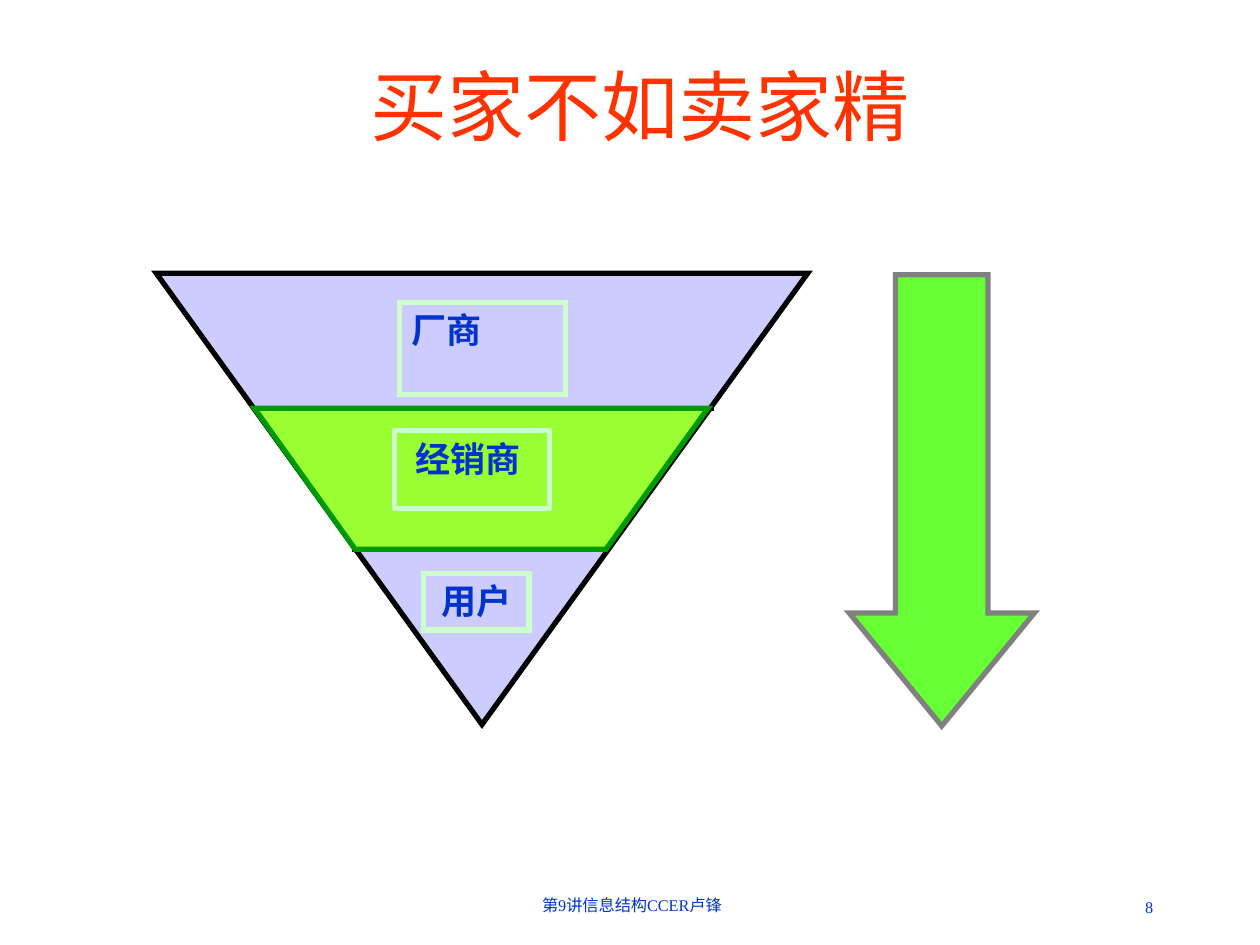
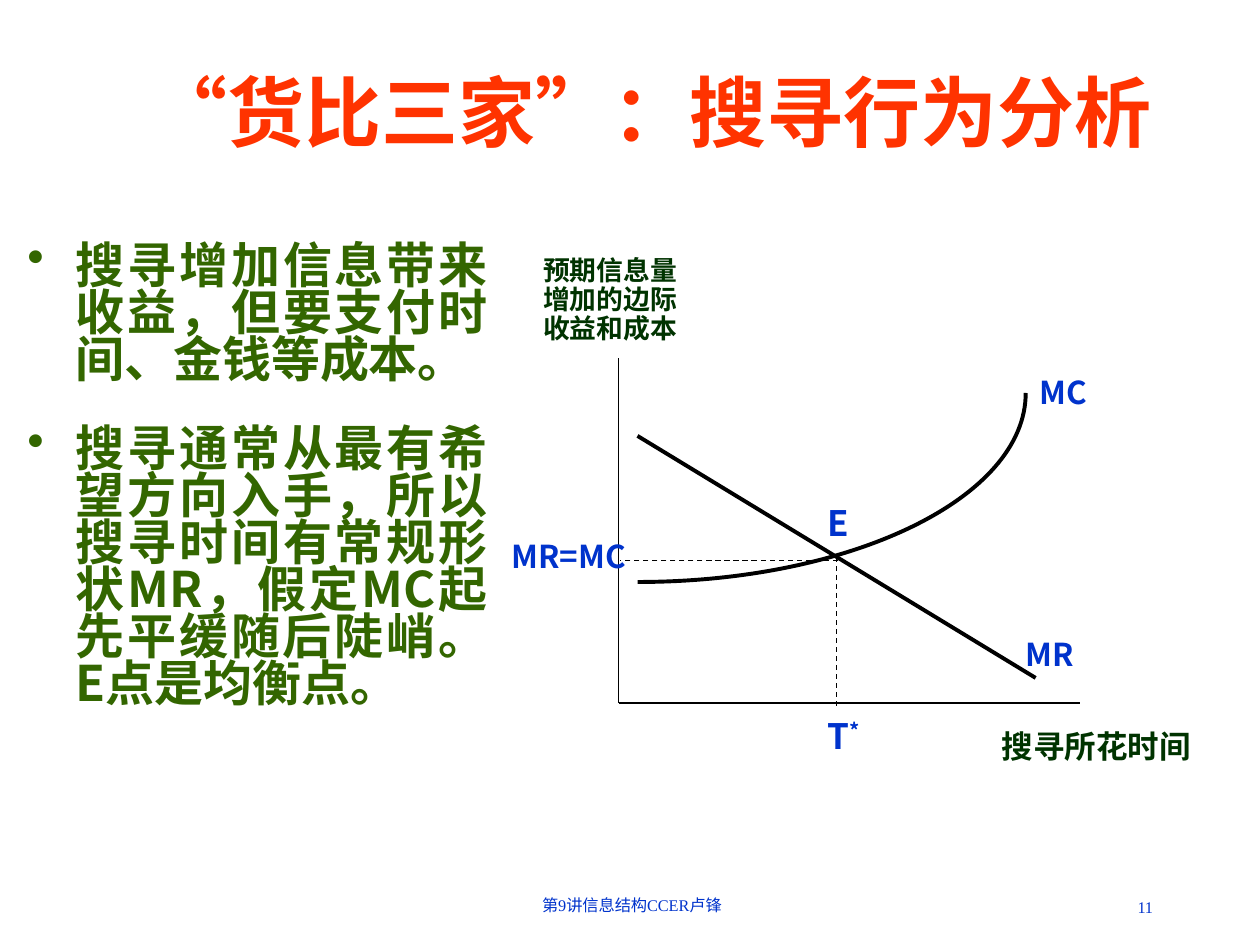
from dataclasses import dataclass
from typing import NamedTuple

from lxml import etree
from pptx import Presentation
from pptx.dml.color import RGBColor
from pptx.enum.dml import MSO_LINE
from pptx.enum.shapes import MSO_CONNECTOR, MSO_SHAPE
from pptx.enum.text import MSO_ANCHOR, MSO_AUTO_SIZE, PP_ALIGN
from pptx.oxml.ns import qn
from pptx.util import Pt

LEFT, CENTER, RIGHT, JUSTIFY = PP_ALIGN.LEFT, PP_ALIGN.CENTER, PP_ALIGN.RIGHT, PP_ALIGN.JUSTIFY
TOP, MIDDLE = MSO_ANCHOR.TOP, MSO_ANCHOR.MIDDLE
RECT, TRIANGLE, DOWN_ARROW = MSO_SHAPE.RECTANGLE, MSO_SHAPE.ISOSCELES_TRIANGLE, MSO_SHAPE.DOWN_ARROW
STRAIGHT, DASH = MSO_CONNECTOR.STRAIGHT, MSO_LINE.DASH
TITLE_ONLY = 5


@dataclass(frozen=True)
class Theme:
    sans: str = "Noto Sans CJK SC"
    serif: str = "Times New Roman"
    title: str = "FF3300"
    blue: str = "0033CC"
    body: str = "336600"
    axis: str = "003300"
    black: str = "000000"
    lavender: str = "CCCCFF"
    mint: str = "CCFFCC"
    lime: str = "99FF33"
    green: str = "009900"
    arrow: str = "66FF33"
    grey: str = "808080"
    title_size: float = 44
    body_size: float = 28
    label_size: float = 20
    curve_size: float = 18
    axis_size: float = 15.3
    footer_size: float = 9.3
    thin: float = 0.75
    medium: float = 2.25
    thick: float = 3


THEME = Theme()


class Box(NamedTuple):
    x: float
    y: float
    w: float
    h: float


class Run(NamedTuple):
    text: str
    font: str = THEME.sans
    baseline: int = 0


class Style(NamedTuple):
    size: float
    color: str
    bold: bool = True
    align: PP_ALIGN = JUSTIFY
    spacing: float = 1.0


class Label(NamedTuple):
    box: Box
    paragraphs: list[list[Run]]
    style: Style
    indent: float = 0


class Tier(NamedTuple):
    box: Box
    text: str
    align: PP_ALIGN = JUSTIFY
    fill: str | None = None
    indent: float = 0


class Segment(NamedTuple):
    x1: float
    y1: float
    x2: float
    y2: float
    width: float
    dashed: bool = False


FOOTER_STYLE = Style(THEME.footer_size, THEME.blue, False, CENTER)
NUMBER_STYLE = FOOTER_STYLE._replace(align=RIGHT)
TITLE_STYLE = Style(THEME.title_size, THEME.title, False, CENTER)
TIER_STYLE = Style(THEME.label_size, THEME.blue)
CURVE_STYLE = Style(THEME.curve_size, THEME.blue)
TIME_STYLE = Style(THEME.curve_size, THEME.axis)
AXIS_STYLE = Style(THEME.axis_size, THEME.axis, spacing=0.9)
BODY_STYLE = Style(THEME.body_size, THEME.body, spacing=0.8)

FOOTER_BOX = Box(247, 508.3, 228.2, 18.7)
NUMBER_BOX = Box(516.2, 509, 149.8, 18.7)
BODY_BOX = Box(8.6, 136.8, 277.2, 277.9)
BULLET_INDENT = 27.4

TIERS = [
    Tier(Box(228.2, 172.8, 95, 52.6), "厂商"),
    Tier(Box(225.4, 246.2, 88.6, 44.6), "经销商", indent=5),
    Tier(Box(241.9, 327.6, 60.5, 32.4), "用户", CENTER, THEME.lavender),
]
TIER_LINES = [
    Segment(147.6, 233.3, 408.2, 233.3, THEME.thick),
    Segment(200.9, 313.9, 347, 313.9, THEME.thick),
]
DEALER_BAND = [(145.4, 233.3), (203, 313.9), (346.3, 313.9), (404.6, 233.3)]

ORIGIN_X, ORIGIN_Y = 353.5, 401.8
GRAPH_LINES = [
    Segment(ORIGIN_X, ORIGIN_Y, 617, ORIGIN_Y, THEME.thin),
    Segment(ORIGIN_X, ORIGIN_Y, ORIGIN_X, 204.5, THEME.thin),
    Segment(478.1, 318.2, 478.1, 405.4, THEME.thin, True),
    Segment(478.8, 320.4, 354.2, 320.4, THEME.thin, True),
    Segment(591.8, 387.4, 364.3, 249.1, THEME.medium),
]
MC_CURVE = [(364.3, 332.6), (486.7, 332.6), (586.1, 284.4), (586.1, 224.6)]
GRAPH_LABELS = [
    Label(Box(572.4, 415.4, 121.7, 25.9), [[Run("搜寻所花时间")]], TIME_STYLE),
    Label(Box(586.1, 362.9, 56.2, 27.4), [[Run("MR")]], CURVE_STYLE),
    Label(Box(586.1, 213.1, 95.8, 26.6), [[Run("MC")]], CURVE_STYLE, 8),
    Label(Box(310.3, 146.9, 106.6, 56.2),
          [[Run(t)] for t in ("预期信息量", "增加的边际", "收益和成本")], AXIS_STYLE),
    Label(Box(473, 286.6, 49.7, 27.4), [[Run("E")]], TIER_STYLE),
    Label(Box(473, 408.2, 56.2, 27.4), [[Run("T"), Run("*", baseline=30000)]], TIER_STYLE),
    Label(Box(292.3, 306.7, 68.4, 27.4), [[Run("MR=MC")]], CURVE_STYLE),
]
BODY = [
    "搜寻增加信息带来收益，但要支付时间、金钱等成本。",
    "搜寻通常从最有希望方向入手，所以搜寻时间有常规形状MR，假定MC起先平缓随后陡峭。E点是均衡点。",
]


def rgb(color: str) -> RGBColor:
    return RGBColor.from_string(color)


def pts(values) -> list:
    return [Pt(v) for v in values]


def set_frame(tf, anchor=TOP, inset=(7.2, 3.6), indent: float = 0) -> None:
    tf.word_wrap = True
    tf.auto_size = MSO_AUTO_SIZE.NONE
    tf.vertical_anchor = anchor
    tf.margin_left = Pt(inset[0] + indent)
    tf.margin_right = Pt(inset[0])
    tf.margin_top = tf.margin_bottom = Pt(inset[1])


def add_run(p, run: Run, style: Style) -> None:
    r = p.add_run()
    r.text = run.text
    r.font.name = run.font
    r.font.size = Pt(style.size)
    r.font.bold = style.bold
    r.font.color.rgb = rgb(style.color)
    rpr = r.font._element
    etree.SubElement(rpr, qn("a:ea"), typeface=THEME.sans)
    if run.baseline:
        rpr.set("baseline", str(run.baseline))


def write(tf, paragraphs: list[list[Run]], style: Style) -> None:
    for i, runs in enumerate(paragraphs):
        p = tf.add_paragraph() if i else tf.paragraphs[0]
        p.alignment = style.align
        p.line_spacing = style.spacing
        for run in runs:
            add_run(p, run, style)


def add_text(slide, label: Label, inset=(0, 0)):
    sp = slide.shapes.add_textbox(*pts(label.box))
    set_frame(sp.text_frame, inset=inset, indent=label.indent)
    write(sp.text_frame, label.paragraphs, label.style)
    return sp


def paint(sp, fill: str | None, line: str, width: float) -> None:
    sp.shadow.inherit = False
    if fill:
        sp.fill.solid()
        sp.fill.fore_color.rgb = rgb(fill)
    else:
        sp.fill.background()
    sp.line.color.rgb = rgb(line)
    sp.line.width = Pt(width)
    etree.SubElement(sp.line._get_or_add_ln(), qn("a:miter"), lim="800000")


def add_preset(slide, kind, box: Box, fill: str | None, line: str):
    sp = slide.shapes.add_shape(kind, *pts(box))
    paint(sp, fill, line, THEME.thick)
    return sp


def add_outline(slide, points: list[tuple[float, float]], close: bool):
    start, *rest = [tuple(pts(pt)) for pt in points]
    fb = slide.shapes.build_freeform(*start)
    fb.add_line_segments(rest, close=close)
    return fb.convert_to_shape()


def add_curve(slide, points: list[tuple[float, float]]) -> None:
    sp = add_outline(slide, points, False)
    geometry = next(sp._element.iter(qn("a:path")))
    bezier = etree.SubElement(geometry, qn("a:cubicBezTo"))
    for ln in geometry.findall(qn("a:lnTo")):
        bezier.append(ln[0])
        geometry.remove(ln)
    paint(sp, None, THEME.black, THEME.medium)


def add_line(slide, seg: Segment) -> None:
    cx = slide.shapes.add_connector(STRAIGHT, *pts(seg[:4]))
    cx.line.color.rgb = rgb(THEME.black)
    cx.line.width = Pt(seg.width)
    if seg.dashed:
        cx.line.dash_style = DASH
    etree.SubElement(cx._element.spPr, qn("a:effectLst"))


def add_bullets(slide) -> None:
    sp = add_text(slide, Label(BODY_BOX, [[Run(t)] for t in BODY], BODY_STYLE), (7.2, 3.6))
    for i, p in enumerate(sp.text_frame.paragraphs):
        ppr = p._p.get_or_add_pPr()
        ppr.set("marL", str(Pt(BULLET_INDENT)))
        ppr.set("indent", str(-Pt(BULLET_INDENT)))
        color = etree.SubElement(ppr, qn("a:buClr"))
        etree.SubElement(color, qn("a:srgbClr"), val=THEME.body)
        etree.SubElement(ppr, qn("a:buChar"), char="•")
        if i:
            p.space_before = Pt(24)


def new_slide(prs, box: Box, title: list[Run], bold: bool, number: int):
    slide = prs.slides.add_slide(prs.slide_layouts[TITLE_ONLY])
    sp = slide.shapes.title
    sp.left, sp.top, sp.width, sp.height = pts(box)
    set_frame(sp.text_frame, MIDDLE)
    write(sp.text_frame, [title], TITLE_STYLE._replace(bold=bold))
    footer = [[Run("第9讲信息结构CCER卢锋", THEME.serif)]]
    add_text(slide, Label(FOOTER_BOX, footer, FOOTER_STYLE), (7.2, 3.6))
    add_text(slide, Label(NUMBER_BOX, [[Run(str(number), THEME.serif)]], NUMBER_STYLE), (7.2, 3.6))
    return slide


def build_supply_slide(prs) -> None:
    slide = new_slide(prs, Box(59.8, 33.1, 612, 54), [Run("买家不如卖家精")], False, 8)
    pyramid = add_preset(slide, TRIANGLE, Box(89.3, 156.2, 372.2, 257.8), THEME.lavender, THEME.black)
    pyramid.rotation = 180
    for seg in TIER_LINES:
        add_line(slide, seg)
    paint(add_outline(slide, DEALER_BAND, True), THEME.lime, THEME.green, THEME.thick)
    for tier in TIERS:
        sp = add_preset(slide, RECT, tier.box, tier.fill, THEME.mint)
        set_frame(sp.text_frame, indent=tier.indent)
        write(sp.text_frame, [[Run(tier.text)]], TIER_STYLE._replace(align=tier.align))
    arrow = add_preset(slide, DOWN_ARROW, Box(485.3, 157, 105.8, 257.8), THEME.arrow, THEME.grey)
    arrow.adjustments[0] = 0.5
    arrow.adjustments[1] = 0.61


def build_search_slide(prs) -> None:
    title = [Run("“", THEME.serif), Run("货比三家"), Run("”", THEME.serif), Run("：搜寻行为分析")]
    slide = new_slide(prs, Box(66.2, 30.2, 612, 66.2), title, True, 11)
    add_bullets(slide)
    for seg in GRAPH_LINES:
        add_line(slide, seg)
    for label in GRAPH_LABELS:
        add_text(slide, label)
    add_curve(slide, MC_CURVE)


def main() -> None:
    prs = Presentation()
    prs.slide_width, prs.slide_height = Pt(720), Pt(540)
    build_supply_slide(prs)
    build_search_slide(prs)
    prs.save("out.pptx")


if __name__ == "__main__":
    main()
